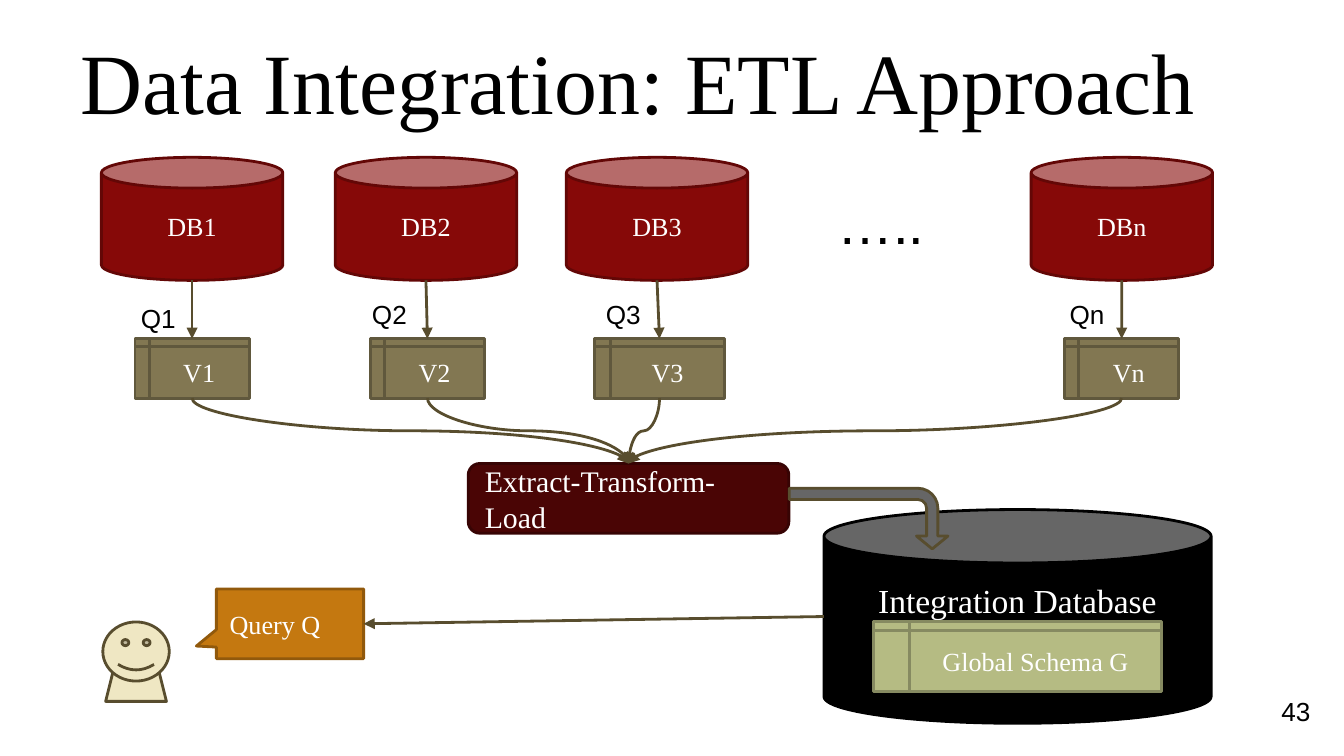
from lxml import etree
from pptx import Presentation
from pptx.dml.color import RGBColor
from pptx.enum import shapes, text
from pptx.oxml import ns
from pptx.util import Pt

SERIF, SANS = "Times New Roman", "Arial"
COLORS = {
    "black": "000000", "white": "FFFFFF", "ink": "584D2E",
    "database": "860908", "database_line": "630706",
    "view": "827752", "view_line": "60583D",
    "etl": "4A0505", "etl_line": "370404",
    "schema": "B5BB83", "schema_line": "868A61",
    "query": "C47810", "query_line": "91590C",
    "skin": "EFE7C3", "pipe": "666666",
}
KINDS = shapes.MSO_SHAPE
LEFT, CENTER, RIGHT = text.PP_ALIGN.LEFT, text.PP_ALIGN.CENTER, text.PP_ALIGN.RIGHT
MIDDLE = text.MSO_ANCHOR.MIDDLE
INSET = 7.2

# name, database centre, view centre, view width, query label left and top
SOURCES = [
    ("1", 102.9, 102.9, 61.2, 68.4, 154.8),
    ("2", 228.2, 229, 61.2, 192.2, 152.9),
    ("3", 352, 353.3, 69.8, 317.5, 152.9),
    ("n", 601, 600.9, 61.2, 565.9, 152.9),
]


def rgb(name):
    return RGBColor.from_string(COLORS[name])


def points(*lengths):
    return [Pt(length) for length in lengths]


def write(shape, words, size, font=SERIF, color="white", align=LEFT,
          anchor=MIDDLE, insets=(INSET,) * 4):
    """Fill a shape with one line of text; insets run left, top, right, bottom."""
    frame = shape.text_frame
    frame.word_wrap = True
    frame.auto_size = text.MSO_AUTO_SIZE.NONE
    frame.vertical_anchor = anchor
    (frame.margin_left, frame.margin_top,
     frame.margin_right, frame.margin_bottom) = points(*insets)
    paragraph = frame.paragraphs[0]
    paragraph.alignment = align
    run = paragraph.add_run()
    run.text = words
    run.font.name, run.font.size = font, Pt(size)
    run.font.color.rgb = rgb(color)


def add_label(slide, box, words, size, **options):
    label = slide.shapes.add_textbox(*points(*box))
    options = {"anchor": text.MSO_ANCHOR.TOP, **options}
    write(label, words, size, font=SANS, color="black", **options)


def add_block(slide, kind, box, fill, line, adjustments=()):
    shape = slide.shapes.add_shape(kind, *points(*box))
    shape.shadow.inherit = False
    shape.fill.solid()
    shape.fill.fore_color.rgb = rgb(fill)
    shape.line.color.rgb = rgb(line)
    shape.line.width = Pt(1.5)
    for index, value in enumerate(adjustments):
        shape.adjustments[index] = value
    return shape


def add_arrow(slide, kind, start, end):
    arrow = slide.shapes.add_connector(kind, *points(*start, *end))
    arrow.line.color.rgb = rgb("ink")
    arrow.line.width = Pt(1.5)
    etree.SubElement(arrow.line._get_or_add_ln(), ns.qn("a:tailEnd"), type="triangle")
    etree.SubElement(arrow._element.spPr, ns.qn("a:effectLst"))
    return arrow


def add_straight_arrow(slide, start, end):
    add_arrow(slide, shapes.MSO_CONNECTOR.STRAIGHT, start, end)


def add_downward_curve(slide, start, end):
    """Join two points by an S-curve that leaves and arrives vertically."""
    middle_x, middle_y = (start[0] + end[0]) / 2, (start[1] + end[1]) / 2
    half_drop, half_span = (end[1] - start[1]) / 2, abs(end[0] - start[0]) / 2
    rightward = end[0] > start[0]
    side = half_drop if rightward else -half_drop
    curve = add_arrow(slide, shapes.MSO_CONNECTOR.CURVE,
                      (middle_x + side, middle_y - half_span),
                      (middle_x - side, middle_y + half_span))
    degrees = 270 if rightward else 90
    curve._element.spPr.find(ns.qn("a:xfrm")).set("rot", str(degrees * 60000))


def set_title(slide, box, words):
    title = slide.shapes.title
    title.left, title.top, title.width, title.height = points(*box)
    write(title, words, 46, color="black", anchor=text.MSO_ANCHOR.BOTTOM)


def add_sources(slide, top):
    """Row of databases, each with its query and view; returns the view exits."""
    database_width, database_height = 97.2, 65.9
    view_top, view_height = top + 97.2, 31.8
    exits = []
    for name, database_x, view_x, view_width, label_left, label_top in SOURCES:
        database = add_block(
            slide, KINDS.CAN,
            (database_x - database_width / 2, top, database_width, database_height),
            "database", "database_line", [0.25])
        write(database, "DB" + name, 14, align=CENTER)
        view = add_block(
            slide, KINDS.FLOWCHART_INTERNAL_STORAGE,
            (view_x - view_width / 2, view_top, view_width, view_height),
            "view", "view_line")
        write(view, "V" + name, 14, align=CENTER)
        add_straight_arrow(slide, (database_x, top + database_height), (view_x, view_top))
        add_label(slide, (label_left, label_top, 41, 26.6), "Q" + name, 14)
        exits.append((view_x, view_top + view_height))
    add_label(slide, (441.4, top + 9.4, 69.8, 48.2), "…..", 30)
    return exits


def add_user(slide, box):
    left, top, width, height = box
    add_block(slide, KINDS.TRAPEZOID, (left + 1.5, top + height - 17.3, width - 3, 17.3),
              "skin", "ink", [0.25])
    add_block(slide, KINDS.SMILEY_FACE, (left, top, width, 31.7), "skin", "ink", [0.047])


def add_query(slide, box):
    query = add_block(slide, KINDS.ROUNDED_RECTANGULAR_CALLOUT, box,
                      "query", "query_line", [-0.636, 0.319, 0])
    write(query, "Query Q", 14)


def add_integration_database(slide, box):
    left, top, width, height = box
    database = add_block(slide, KINDS.CAN, box, "black", "black", [0.25])
    write(database, "Integration Database", 18, align=CENTER,
          insets=(INSET, INSET, INSET, 39.4))
    schema = add_block(slide, KINDS.FLOWCHART_INTERNAL_STORAGE,
                       (left + 26.6, top + 60.1, 154.3, 37.4), "schema", "schema_line")
    write(schema, "Global Schema G", 14, align=CENTER)


def add_etl(slide, box, exits):
    """ETL step, the curves that feed it and the bent arrow that leaves it."""
    left, top, width, height = box
    step = add_block(slide, KINDS.ROUNDED_RECTANGLE, box, "etl", "etl_line", [0.167])
    write(step, "Extract-Transform-Load", 16)
    for start in exits:
        add_downward_curve(slide, start, (left + width / 2, top))
    pipe = add_block(slide, KINDS.BENT_ARROW, (left + width + 26.5, top - 13, 32.5, 85),
                     "pipe", "ink", [0.185, 0.26, 0.211, 0.331])
    pipe.rotation = 90


def main():
    presentation = Presentation()
    presentation.slide_width, presentation.slide_height = points(720, 405)
    slide = presentation.slides.add_slide(presentation.slide_layouts[5])
    set_title(slide, (36, 12.2, 648, 65.5), "Data Integration: ETL Approach")
    exits = add_sources(slide, 84.3)
    add_user(slide, (55.1, 333.2, 35.6, 42.6))
    add_query(slide, (115.9, 315.5, 78.9, 37.4))
    add_integration_database(slide, (441.4, 273, 207.4, 114.5))
    add_etl(slide, (250.8, 248.3, 171.8, 37.4), exits)
    add_straight_arrow(slide, (441.4, 330.3), (194.8, 334.2))
    add_label(slide, (592.6, 372.2, 116.6, 17.3), "43", 14, align=RIGHT, anchor=MIDDLE,
              insets=(INSET, 3.6, INSET, 3.6))
    presentation.save("out.pptx")


if __name__ == "__main__":
    main()
